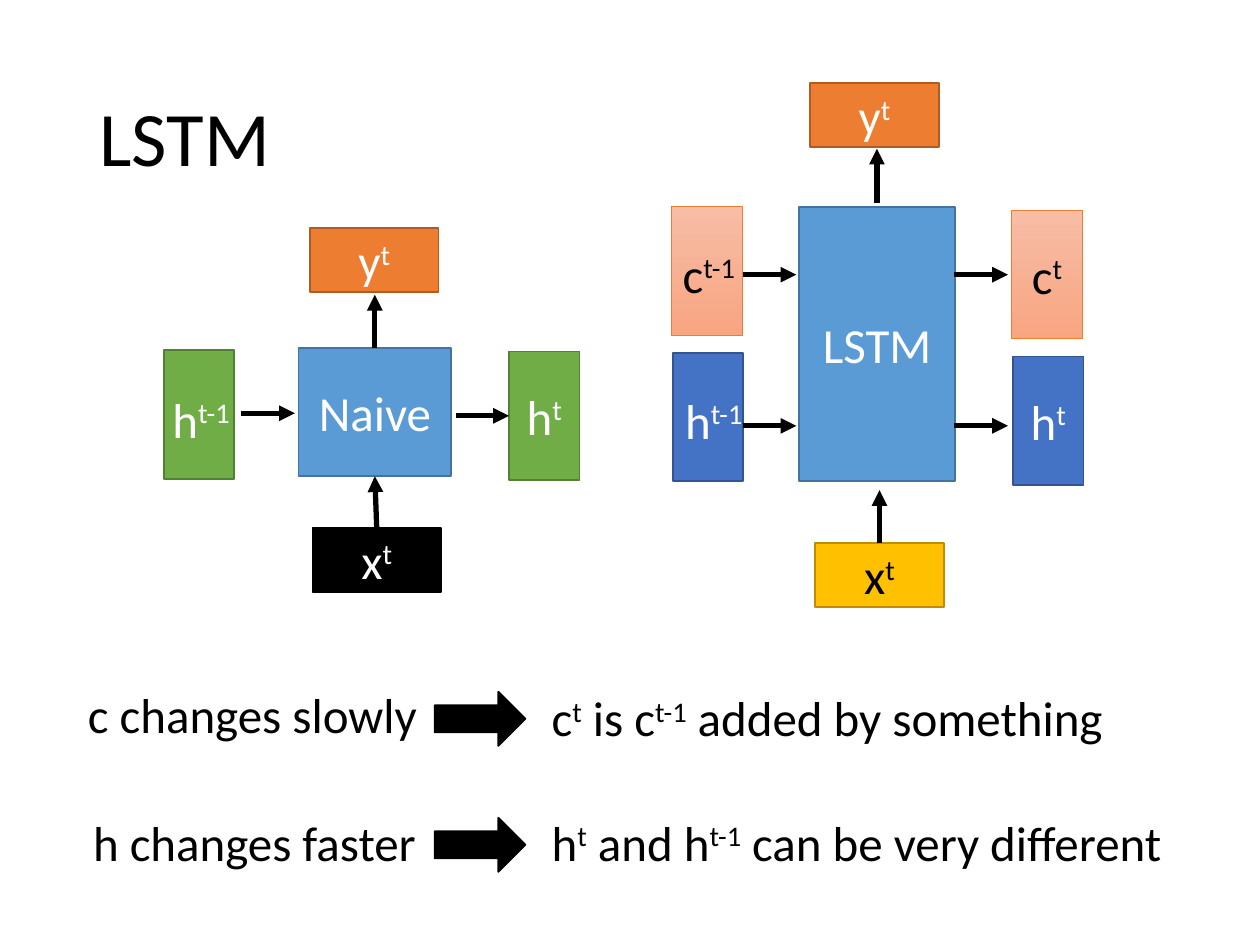
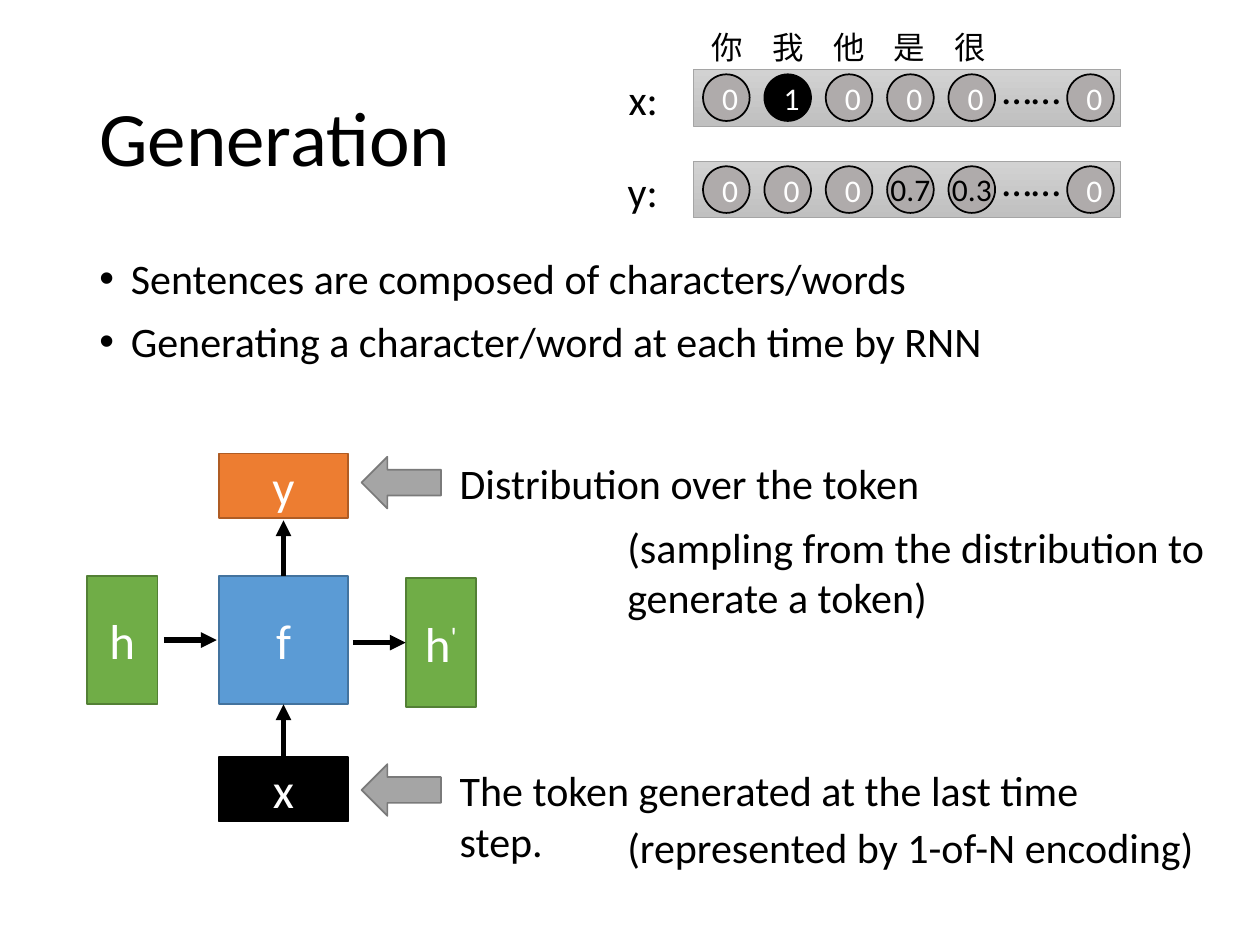
from lxml import etree
from pptx import Presentation
from pptx.dml.color import RGBColor
from pptx.enum.shapes import MSO_CONNECTOR, MSO_SHAPE
from pptx.enum.text import MSO_ANCHOR, MSO_AUTO_SIZE, PP_ALIGN
from pptx.oxml.ns import qn
from pptx.util import Inches, Pt

RECT, OVAL = MSO_SHAPE.RECTANGLE, MSO_SHAPE.OVAL
RIGHT, LEFT = MSO_SHAPE.RIGHT_ARROW, MSO_SHAPE.LEFT_ARROW
STRAIGHT = MSO_CONNECTOR.STRAIGHT
MIDDLE = MSO_ANCHOR.MIDDLE
GROW = MSO_AUTO_SIZE.SHAPE_TO_FIT_TEXT
START, CENTER, END = PP_ALIGN.LEFT, PP_ALIGN.CENTER, PP_ALIGN.RIGHT
TOP, WEST, SOUTH = 0, 1, 2

COLS, ROWS = 100, 75
FONT = "Calibri"
BLACK, WHITE = "000000", "FFFFFF"
INK = (BLACK, BLACK)
BLUE = ("5B9BD5", "43739E")
GREEN = ("70AD47", "538035")
ORANGE = ("ED7D31", "AF5C24")
GOLD = ("FFC000", "BD8E00")
NAVY = ("4472C4", "325491")
GRAY = ("A5A5A5", "7A7A7A")
DISC = ("AFABAB", BLACK)
PEACH = (("F7BDA5", "F8A582"), "ED7D31")
SILVER = (("D2D2D2", "C0C0C0"), "A5A5A5")


def color(code):
    return RGBColor.from_string(code)


class Deck:
    def __init__(self):
        self.file = Presentation()
        self.file.slide_width, self.file.slide_height = Inches(10), Inches(7.5)
        self.col = self.file.slide_width / COLS
        self.row = self.file.slide_height / ROWS

    def page(self, title):
        self.slide = self.file.slides.add_slide(self.file.slide_layouts[6])
        box = self.text(6.9, 4, 86.2, 14.5, title, size=44, grow=False)
        box.text_frame.vertical_anchor = MIDDLE
        box.text_frame.paragraphs[0].line_spacing = 0.9

    def area(self, x, y, w, h):
        return (round(x * self.col), round(y * self.row),
                round(w * self.col), round(h * self.row))

    def words(self, para, text, size, ink, align):
        for i, part in enumerate(text.split("|")):
            if part:
                run = para.add_run()
                run.text = part
                if i % 2:
                    run.font._element.set("baseline", "30000")
        para.alignment = align
        para.font.name = FONT
        para.font.size = Pt(size)
        para.font.color.rgb = color(ink)

    def text(self, x, y, w, h, text, size=28, ink=BLACK, align=START,
             wrap=True, grow=True):
        box = self.slide.shapes.add_textbox(*self.area(x, y, w, h))
        frame = box.text_frame
        frame.word_wrap = wrap
        if grow:
            frame.auto_size = GROW
        self.words(frame.paragraphs[0], text, size, ink, align)
        return box

    def points(self, x, y, w, h, items):
        box = self.slide.shapes.add_textbox(*self.area(x, y, w, h))
        frame = box.text_frame
        frame.word_wrap = True
        for i, item in enumerate(items):
            para = frame.add_paragraph() if i else frame.paragraphs[0]
            para.line_spacing = 0.9
            if i:
                para.space_before = Pt(10)
            props = para._p.get_or_add_pPr()
            props.set("marL", str(Inches(0.25)))
            props.set("indent", str(-Inches(0.25)))
            etree.SubElement(props, qn("a:buFont")).set("typeface", "Arial")
            etree.SubElement(props, qn("a:buChar")).set("char", "•")
            self.words(para, item, 24, BLACK, START)

    def shape(self, x, y, w, h, paint, text="", ink=WHITE, size=28, kind=RECT):
        item = self.slide.shapes.add_shape(kind, *self.area(x, y, w, h))
        item.shadow.inherit = False
        fill, line = paint
        if isinstance(fill, tuple):
            item.fill.gradient()
            item.fill.gradient_angle = 270
            for stop, code in zip(item.fill.gradient_stops, fill):
                stop.color.rgb = color(code)
        else:
            item.fill.solid()
            item.fill.fore_color.rgb = color(fill)
        item.line.color.rgb = color(line)
        item.line.width = Pt(0.5 if isinstance(fill, tuple) else 1)
        if text:
            item.text_frame.vertical_anchor = MIDDLE
            self.words(item.text_frame.paragraphs[0], text, size, ink, CENTER)
        return item

    def state(self, x, y, paint, text="", ink=WHITE):
        return self.shape(x, y, 5.6, 10.2, paint, text, ink)

    def token(self, x, y, paint, text, ink=WHITE):
        return self.shape(x, y, 10.2, 5.1, paint, text, ink)

    def past(self, x, y, text, ink=WHITE):
        self.text(x, y, 7.1, 5.7, text, ink=ink, align=CENTER, wrap=False)

    def arrow(self, x, y, dx, dy, start=None, end=None):
        left, top, wide, high = self.area(x, y, dx, dy)
        line = self.slide.shapes.add_connector(
            STRAIGHT, left, top, left + wide, top + high)
        if start:
            line.begin_connect(*start)
        if end:
            line.end_connect(*end)
        line.line.color.rgb = color(BLACK)
        line.line.width = Pt(3)
        tail = etree.SubElement(line.line._get_or_add_ln(), qn("a:tailEnd"))
        tail.set("type", "triangle")
        etree.SubElement(line._element.spPr, qn("a:effectLst"))

    def vector(self, y, name, values):
        self.text(44.4, y - 0.15, 8.8, 5, name, size=24, align=END)
        self.shape(55, y, 33.9, 4.5, SILVER)
        spots = [55.8 + 4.87 * i for i in range(5)] + [84.7]
        for x, value in zip(spots, values):
            part = "." in value
            paint = INK if value == "1" else DISC
            self.shape(x, y + 0.4, 3.7, 3.7, paint, "" if part else value,
                       size=18, kind=OVAL)
            if part:
                self.text(x - 2.35, y + 0.2, 8.4, 4, value, size=18, align=CENTER)
        self.text(78.4, y - 1, 6.9, 5, "……", size=24, align=CENTER)


def compare(deck):
    deck.page("LSTM")
    claims = (
        (6, 53.8, "c changes slowly", 54.1, "c|t| is c|t-1| added by something", 49.1),
        (6.4, 64, "h changes faster", 64, "h|t| and h|t-1| can be very different", 54.5),
    )
    for i, (x, y, cause, level, effect, wide) in enumerate(claims):
        deck.text(x, y, 28.6, 5.7, cause)
        deck.text(42.8, level, wide, 5.7, effect)
        deck.shape(34.5, 54.9 + 10 * i, 7.2, 4.3, INK, kind=RIGHT)

    deck.state(13, 27.8, GREEN)
    naive = deck.shape(23.7, 27.6, 12.1, 10.2, BLUE, "Naive")
    after = deck.state(40.4, 27.9, GREEN, "h|t|")
    deck.token(24.6, 18.1, ORANGE, "y|t|")
    entry = deck.token(24.8, 41.9, INK, "x|t|")
    deck.arrow(19.1, 32.8, 4.3, 0)
    deck.arrow(36.2, 33, 4.2, 0, end=(after, WEST))
    deck.arrow(29.75, 27.6, 0, -4.2, start=(naive, TOP))
    deck.arrow(29.9, 41.9, 0, -4.2, (entry, TOP), (naive, SOUTH))
    deck.past(12.4, 30.4, "h|t-1|")

    deck.shape(63.4, 16.4, 12.4, 21.8, BLUE, "LSTM")
    deck.state(53.3, 16.4, PEACH)
    deck.state(53.4, 28, NAVY)
    deck.state(80.3, 16.7, PEACH, "c|t|", BLACK)
    deck.state(80.4, 28.3, NAVY, "h|t|")
    deck.token(64.3, 6.6, ORANGE, "y|t|")
    entry = deck.token(64.7, 43.1, GOLD, "x|t|", BLACK)
    deck.arrow(69.6, 16.1, 0, -4.3)
    deck.arrow(69.8, 43.1, 0, -4.2, start=(entry, TOP))
    for y in (21.8, 33.8):
        for x in (58.95, 75.75):
            deck.arrow(x, y, 4.25, 0)
    deck.past(53.1, 30.5, "h|t-1|")
    deck.past(52.7, 18.9, "c|t-1|", BLACK)


def generate(deck):
    deck.page("Generation")
    deck.points(6.9, 20, 86.2, 47.6, (
        "Sentences are composed of characters/words",
        "Generating a character/word at each time by RNN"))

    cell = deck.shape(17.4, 45.7, 10.2, 10.2, BLUE, "f")
    deck.state(6.9, 45.7, GREEN, "h")
    after = deck.state(32.2, 45.9, GREEN, "h|'|")
    deck.token(17.4, 36, ORANGE, "y")
    entry = deck.token(17.4, 60.1, INK, "x")
    deck.arrow(13, 50.8, 4.2, 0)
    deck.arrow(28, 51, 4.2, 0, end=(after, WEST))
    deck.arrow(22.5, 45.7, 0, -4.4, start=(cell, TOP))
    deck.arrow(22.5, 60.1, 0, -4.2, (entry, TOP), (cell, SOUTH))

    notes = (
        (35.8, "Distribution over the token", 40.9, 50.1, 9.1,
         "(sampling from the distribution to generate a token)"),
        (60.2, "The token generated at the last time step.", 64.7, 48.2, 5,
         "(represented by 1-of-N encoding)"),
    )
    for y, head, level, wide, high, aside in notes:
        deck.text(35.5, y, 57.8, 5, head, size=24)
        deck.shape(28.7, y + 0.45, 6.3, 4.1, GRAY, kind=LEFT)
        deck.text(48.8, level, wide, high, aside, size=24)

    deck.vector(5.5, "x:", ("0", "1", "0", "0", "0", "0"))
    deck.vector(12.8, "y:", ("0", "0", "0", "0.7", "0.3", "0"))
    for i, word in enumerate("你我他是很"):
        deck.text(55.5 + 4.82 * i, 1.7, 4.8, 4, word, size=18)


def main():
    deck = Deck()
    compare(deck)
    generate(deck)
    deck.file.save("out.pptx")


if __name__ == "__main__":
    main()
